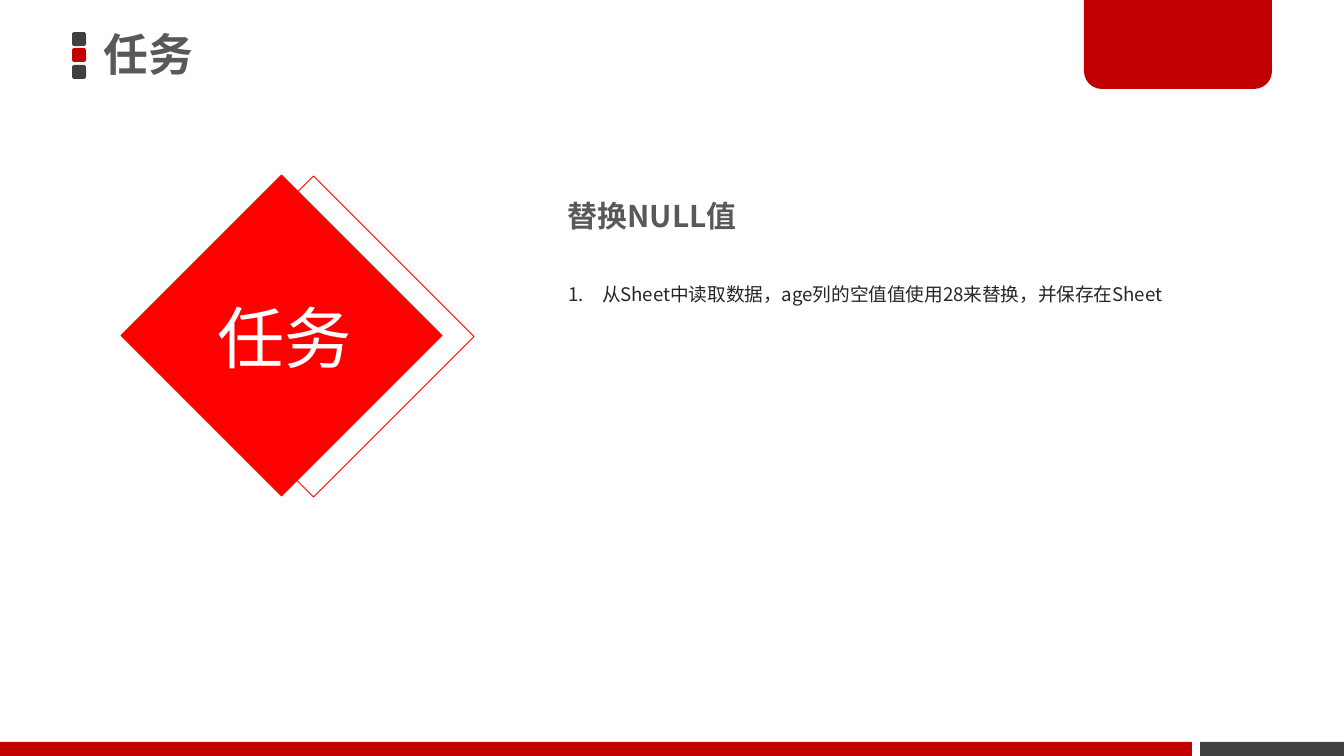
import dataclasses
import typing

import lxml.etree
import pptx
import pptx.dml.color
import pptx.enum.shapes
import pptx.enum.text
import pptx.oxml.ns
import pptx.util

EMU_PER_PX = 9144000 / 1344
FONT = "Noto Sans CJK SC"
RED, BRIGHT_RED, DARK = "C00000", "FF0000", "404040"
HEADING_GREY, BODY_GREY, WHITE = "595959", "262626", "FFFFFF"
SHAPES = pptx.enum.shapes.MSO_SHAPE
ALIGN = pptx.enum.text.PP_ALIGN
ANCHOR = pptx.enum.text.MSO_ANCHOR


@dataclasses.dataclass
class Block:
    left: int
    top: int
    width: int
    height: int
    fill: typing.Optional[str] = None
    line: typing.Optional[str] = None
    kind: int = SHAPES.RECTANGLE
    rotation: int = 0
    adjustments: tuple = ()


@dataclasses.dataclass
class Label:
    text: str
    left: int
    top: int
    width: int
    height: int
    size: int
    color: str
    bold: bool = False
    align: int = ALIGN.LEFT
    anchor: int = ANCHOR.TOP
    insets: tuple = (13, 7)
    line_spacing: float = 1.0
    numbered: bool = False


def px(length: int) -> pptx.util.Emu:
    return pptx.util.Emu(round(length * EMU_PER_PX))


def rgb(color: str) -> pptx.dml.color.RGBColor:
    return pptx.dml.color.RGBColor.from_string(color)


def draw_block(slide, block: Block) -> None:
    shape = slide.shapes.add_shape(
        block.kind, px(block.left), px(block.top), px(block.width), px(block.height)
    )
    shape.shadow.inherit = False
    shape.rotation = block.rotation
    for index, value in enumerate(block.adjustments):
        shape.adjustments[index] = value
    if block.fill:
        shape.fill.solid()
        shape.fill.fore_color.rgb = rgb(block.fill)
    else:
        shape.fill.background()
    if block.line:
        shape.line.color.rgb = rgb(block.line)
        shape.line.width = pptx.util.Pt(0.5)
    else:
        shape.line.fill.background()


def number_paragraph(paragraph, color: str) -> None:
    qn = pptx.oxml.ns.qn
    properties = paragraph._p.get_or_add_pPr()
    indent = px(34)
    properties.set("marL", str(indent))
    properties.set("indent", str(-indent))
    bullet_color = lxml.etree.SubElement(properties, qn("a:buClr"))
    lxml.etree.SubElement(bullet_color, qn("a:srgbClr"), val=color)
    lxml.etree.SubElement(properties, qn("a:buFont"), typeface=FONT)
    lxml.etree.SubElement(properties, qn("a:buAutoNum"), type="arabicPeriod")


def draw_label(slide, label: Label) -> None:
    shape = slide.shapes.add_textbox(
        px(label.left), px(label.top), px(label.width), px(label.height)
    )
    frame = shape.text_frame
    frame.word_wrap = True
    frame.vertical_anchor = label.anchor
    horizontal, vertical = label.insets
    frame.margin_left = frame.margin_right = px(horizontal)
    frame.margin_top = frame.margin_bottom = px(vertical)
    paragraph = frame.paragraphs[0]
    paragraph.alignment = label.align
    paragraph.line_spacing = label.line_spacing
    if label.numbered:
        number_paragraph(paragraph, label.color)
    run = paragraph.add_run()
    run.text = label.text
    run.font.size = pptx.util.Pt(label.size)
    run.font.bold = label.bold
    run.font.color.rgb = rgb(label.color)
    run.font.name = FONT
    lxml.etree.SubElement(
        run._r.get_or_add_rPr(), pptx.oxml.ns.qn("a:ea"), typeface=FONT
    )


TITLE_MARKS = [
    Block(72, 32 + 16 * index + index // 2, 14, 14, color,
          kind=SHAPES.ROUNDED_RECTANGLE, adjustments=(0.17,))
    for index, color in enumerate((DARK, RED, DARK))
]

BLOCKS = TITLE_MARKS + [
    Block(1200, 742, 144, 14, DARK),
    Block(1084, 0, 188, 89, RED,
          kind=SHAPES.ROUND_2_SAME_RECTANGLE, adjustments=(0, 0.2)),
    Block(0, 742, 1192, 14, RED),
    Block(200, 223, 227, 227, line=BRIGHT_RED, rotation=45),
    Block(168, 222, 227, 227, BRIGHT_RED, BRIGHT_RED, rotation=45),
]

LABELS = [
    Label("任务", 3, 282, 563, 120, 36, WHITE, align=ALIGN.CENTER,
          anchor=ANCHOR.MIDDLE, insets=(11, 5), line_spacing=0.9),
    Label("任务", 93, -3, 579, 120, 24, HEADING_GREY, bold=True,
          anchor=ANCHOR.MIDDLE, insets=(11, 5), line_spacing=0.9),
    Label("替换NULL值", 555, 191, 519, 50, 16, HEADING_GREY, bold=True),
    Label("从Sheet中读取数据，age列的空值值使用28来替换，并保存在Sheet",
          555, 242, 751, 70, 10, BODY_GREY, line_spacing=2.5, numbered=True),
]


def main() -> None:
    presentation = pptx.Presentation()
    presentation.slide_width = px(1344)
    presentation.slide_height = px(756)
    slide = presentation.slides.add_slide(presentation.slide_layouts[6])
    for block in BLOCKS:
        draw_block(slide, block)
    for label in LABELS:
        draw_label(slide, label)
    presentation.save("out.pptx")


if __name__ == "__main__":
    main()
